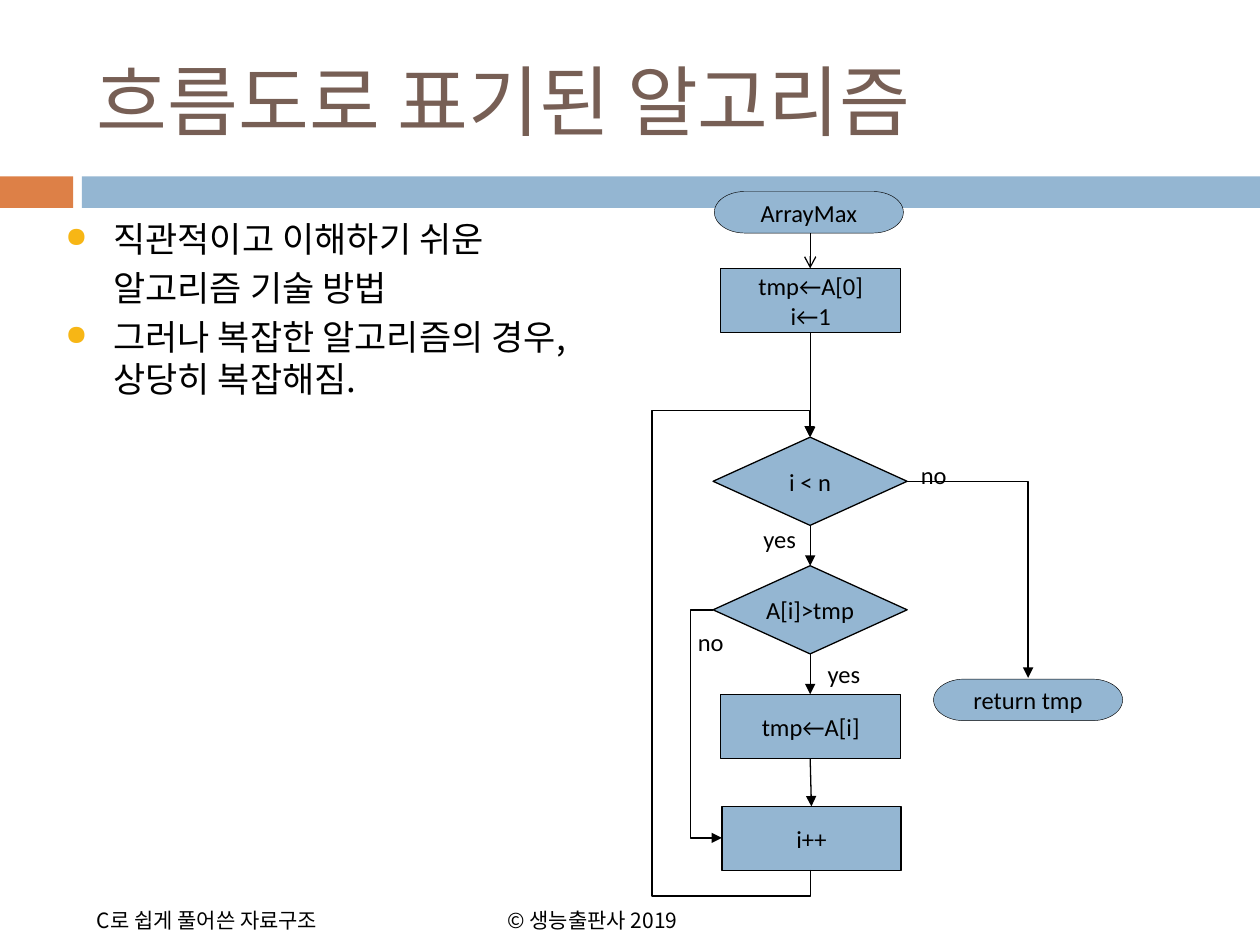
from typing import NamedTuple

from lxml.etree import SubElement as Sub
from pptx import Presentation
from pptx.dml.color import RGBColor as Rgb
from pptx.enum.shapes import MSO_CONNECTOR as Link
from pptx.enum.shapes import MSO_SHAPE as Kind
from pptx.enum.text import MSO_ANCHOR as Anchor
from pptx.enum.text import PP_ALIGN as Align
from pptx.oxml.ns import qn
from pptx.util import Inches, Pt

COLORS = {"blue": "94B6D2", "orange": "DD8047", "black": "000000",
          "brown": "775F55", "gold": "F7B615"}
LATIN, KOREAN = "Calibri", "Noto Sans CJK KR"
MID = 6.43


class Node(NamedTuple):
    kind: Kind
    text: str
    left: float
    top: float
    width: float
    height: float
    line: float = 0.75
    wrap: bool = False


class Arrow(NamedTuple):
    start: tuple
    end: tuple
    head: str = "triangle"
    prst: str = "line"
    bends: tuple = ()
    turn: int = 0


class Label(NamedTuple):
    text: str
    left: float
    top: float
    width: float
    height: float
    size: int = 14
    font: str = LATIN
    color: str = "black"
    wrap: bool = False
    anchor: Anchor = Anchor.TOP


def shade(name: str) -> Rgb:
    return Rgb.from_string(COLORS[name])


def style(para, size: int, name: str, color: str) -> None:
    """Format each run, giving Korean letters the Korean font."""
    for run in para.runs:
        for key, value in {"size": Pt(size), "name": name}.items():
            setattr(run.font, key, value)
        run.font.color.rgb = shade(color)
        Sub(run.font._element, qn("a:ea"), typeface=KOREAN)


def draw_bar(slide, left: float, width: float, color: str) -> None:
    bar = slide.shapes.add_shape(
        Kind.RECTANGLE, Inches(left), Inches(1.4), Inches(width), Inches(0.25))
    bar.shadow.inherit = False
    bar.fill.solid()
    bar.fill.fore_color.rgb = shade(color)
    bar.line.fill.background()


def draw_node(slide, node: Node) -> None:
    shape = slide.shapes.add_shape(node.kind, *map(Inches, node[2:6]))
    shape.shadow.inherit = False
    shape.fill.solid()
    shape.fill.fore_color.rgb = shade("blue")
    shape.line.color.rgb = shade("black")
    shape.line.width = Pt(node.line)
    frame = shape.text_frame
    frame.text = node.text
    for key, value in {"word_wrap": node.wrap,
                       "vertical_anchor": Anchor.MIDDLE}.items():
        setattr(frame, key, value)
    for para in frame.paragraphs:
        para.alignment = Align.CENTER
        style(para, 14, LATIN, "black")


def draw_arrow(slide, arrow: Arrow) -> None:
    """Draw a link; bends are shares of its box, turn is in degrees."""
    kind = Link.STRAIGHT if arrow.prst == "line" else Link.ELBOW
    link = slide.shapes.add_connector(
        kind, *map(Inches, arrow.start + arrow.end))
    link.line.color.rgb = shade("black")
    link.line.width = Pt(0.75)
    props = link._element.spPr
    Sub(props.find(qn("a:ln")), qn("a:tailEnd"), type=arrow.head)
    Sub(props, qn("a:effectLst"))
    geom = props.find(qn("a:prstGeom"))
    geom.set("prst", arrow.prst)
    guides = geom.find(qn("a:avLst"))
    for num, bend in enumerate(arrow.bends, 1):
        name = "adj" if arrow.prst == "line" else f"adj{num}"
        Sub(guides, qn("a:gd"), name=name, fmla=f"val {round(bend * 100000)}")
    if arrow.turn:
        props.find(qn("a:xfrm")).set("rot", str(arrow.turn * 60000))


def draw_label(slide, label: Label) -> None:
    box = slide.shapes.add_textbox(*map(Inches, label[1:5]))
    frame = box.text_frame
    frame.text = label.text
    for key, value in {"word_wrap": label.wrap,
                       "vertical_anchor": label.anchor}.items():
        setattr(frame, key, value)
    style(frame.paragraphs[0], label.size, label.font, label.color)


def draw_points(slide, points: list) -> None:
    """Write (text, has bullet) pairs with a shared indent."""
    box = slide.shapes.add_textbox(*map(Inches, (0.42, 1.68, 4.68, 5.23)))
    frame = box.text_frame
    frame.word_wrap = True
    for num, (text, dot) in enumerate(points):
        para = frame.add_paragraph() if num else frame.paragraphs[0]
        para.text = text
        props = para._p.get_or_add_pPr()
        props.set("marL", str(Inches(0.38)))
        props.set("indent", str(Inches(-0.38 if dot else 0)))
        if num:
            para.space_before = Pt(4)
        if dot:
            tint = Sub(props, qn("a:buClr"))
            Sub(tint, qn("a:srgbClr"), val=COLORS["gold"])
            Sub(props, qn("a:buSzPct"), val="80000")
            Sub(props, qn("a:buChar"), char="●")
        style(para, 20, KOREAN, "black")


BOX, TEST, END = (Kind.FLOWCHART_PROCESS, Kind.FLOWCHART_DECISION,
                  Kind.FLOWCHART_TERMINATOR)
NODES = [
    Node(BOX, "tmp←A[0]\ni←1", 5.72, 2.13, 1.43, 0.51),
    Node(TEST, "i < n", 5.66, 3.47, 1.54, 0.7),
    Node(TEST, "A[i]>tmp", 5.66, 4.49, 1.54, 0.7),
    Node(BOX, "tmp←A[i]", 5.72, 5.51, 1.43, 0.51),
    Node(BOX, "i++", 5.73, 6.4, 1.42, 0.51),
    Node(END, "ArrayMax", 5.67, 1.52, 1.5, 0.33, 0.25, True),
    Node(END, "return tmp", 7.41, 5.39, 1.5, 0.33, 0.25, True),
]
ARROWS = [
    Arrow((MID, 1.85), (MID, 2.13), "arrow"),
    Arrow((MID, 2.64), (MID, 3.47)),
    Arrow((MID, 4.17), (MID, 4.49)),
    Arrow((MID, 5.19), (MID, 5.51)),
    Arrow((MID, 6.02), (6.44, 6.4)),
    Arrow((5.66, 4.84), (5.73, 6.65), prst="bentConnector3", bends=(-2.6,)),
    Arrow((7.2, 3.82), (8.16, 5.38), prst="bentConnector2"),
    Arrow((4.71, 5.19), (8.15, 5.18), prst="bentConnector5",
          bends=(-0.06, 128, 1.06), turn=270),
]
LABELS = [
    Label("흐름도로 표기된 알고리즘", 0.67, 0.25, 8.92, 1.08, 44, LATIN,
          "brown", True, Anchor.MIDDLE),
    Label("C로 쉽게 풀어쓴 자료구조", 0.67, 7.15, 2.17, 0.3, 12, KOREAN),
    Label("© 생능출판사 2019", 3.93, 7.15, 1.67, 0.3, 12, KOREAN),
    Label("no", 7.21, 3.6, 0.41, 0.33),
    Label("yes", 5.96, 4.11, 0.49, 0.33),
    Label("no", 5.44, 4.93, 0.41, 0.34),
    Label("yes", 6.47, 5.18, 0.49, 0.34),
]
POINTS = [
    ("직관적이고 이해하기 쉬운", True),
    ("알고리즘 기술 방법", False),
    ("그러나 복잡한 알고리즘의 경우, 상당히 복잡해짐.", True),
]


def main() -> None:
    deck = Presentation()
    deck.slide_width, deck.slide_height = Inches(10), Inches(7.5)
    slide = deck.slides.add_slide(deck.slide_layouts[6])
    draw_bar(slide, 0, 0.58, "orange")
    draw_bar(slide, 0.65, 9.35, "blue")
    for draw, items in ((draw_node, NODES), (draw_arrow, ARROWS),
                        (draw_label, LABELS)):
        for item in items:
            draw(slide, item)
    draw_points(slide, POINTS)
    deck.save("out.pptx")


if __name__ == "__main__":
    main()
